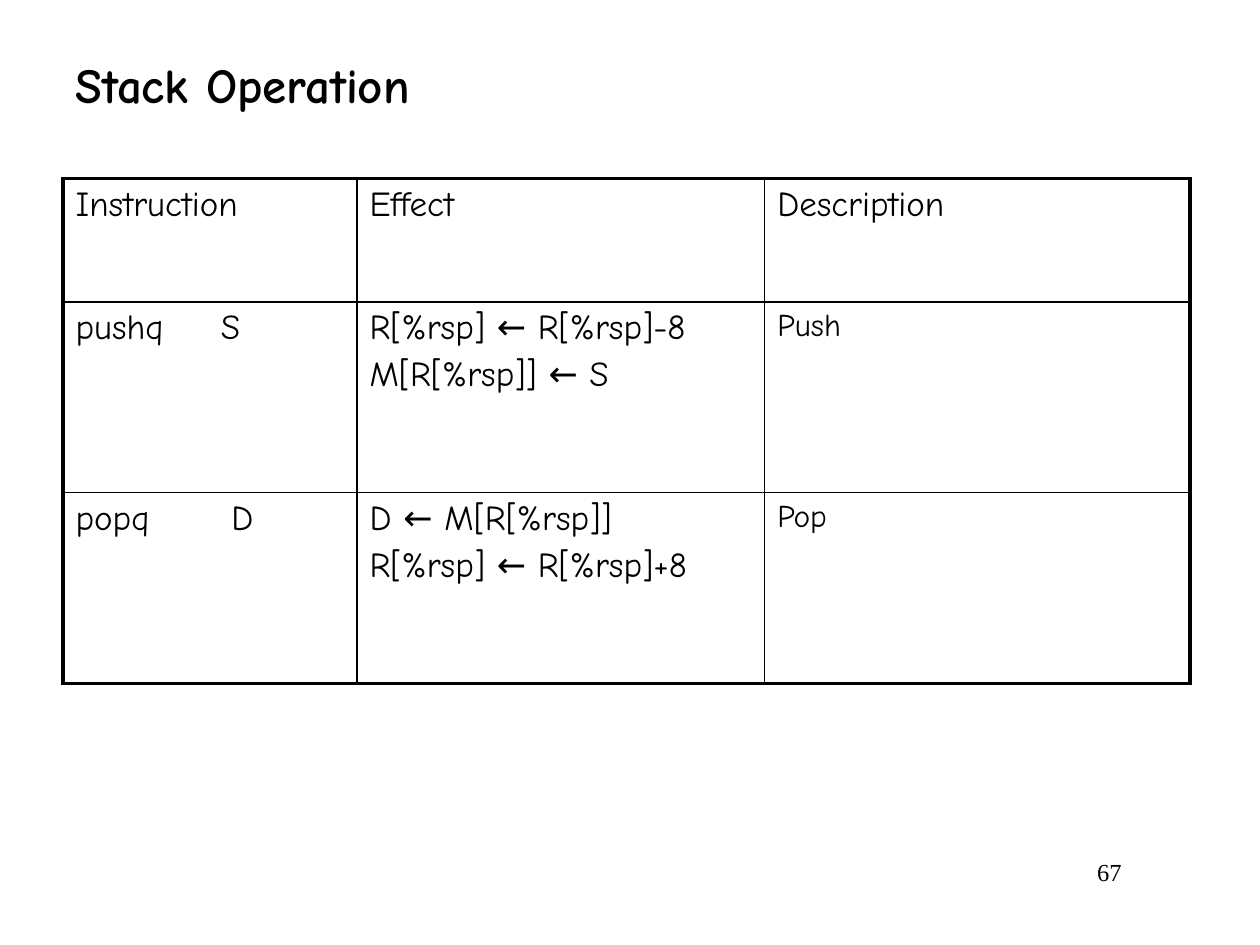
from lxml.etree import SubElement
from pptx import Presentation
from pptx.dml.color import RGBColor as Color
from pptx.enum.text import MSO_ANCHOR as Anchor, PP_ALIGN as Align
from pptx.oxml import parse_xml
from pptx.oxml.ns import nsdecls, qn
from pptx.util import Pt

COLORS = {"ink": "000000", "paper": "FFFFFF"}
THICK, THIN = 2.25, 1


class SlideBuilder:
    body_font = "Comic Neue"
    number_font = "Times New Roman"

    def __init__(self, slide):
        self.slide = slide

    def styled_run(self, paragraph, text, size, **extra):
        run = paragraph.add_run()
        run.text = text
        run.font.color.rgb = Color.from_string(COLORS["ink"])
        values = {"name": self.body_font, "size": Pt(size), **extra}
        for name, value in values.items():
            setattr(run.font, name, value)

    def text(self, box, text, size, anchor=Anchor.TOP, align=Align.LEFT, **extra):
        shape = self.slide.shapes.add_textbox(*map(Pt, box))
        frame = shape.text_frame
        frame.word_wrap = True
        frame.vertical_anchor = anchor
        frame.paragraphs[0].alignment = align
        self.styled_run(frame.paragraphs[0], text, size, **extra)

    def borders(self, cell, widths):
        properties = cell._tc.get_or_add_tcPr()
        for index, (side, width) in enumerate(widths.items()):
            line = parse_xml(
                f'<a:ln{side} {nsdecls("a")} w="{Pt(width)}"><a:solidFill>'
                f'<a:srgbClr val="{COLORS["ink"]}"/></a:solidFill></a:ln{side}>')
            properties.insert(index, line)

    def cell(self, cell, lines, size, tab):
        cell.fill.solid()
        cell.fill.fore_color.rgb = Color.from_string(COLORS["paper"])
        frame = cell.text_frame
        for index, line in enumerate(lines):
            paragraph = frame.add_paragraph() if index else frame.paragraphs[0]
            paragraph.space_before = Pt(size * 0.2)
            self.styled_run(paragraph, line, size)
            if tab:
                stops = SubElement(paragraph._p.get_or_add_pPr(), qn("a:tabLst"))
                SubElement(stops, qn("a:tab"), pos=str(Pt(tab)), algn="l")

    def table(self, left, top, widths, heights, rows):
        last_row, last_column = len(heights) - 1, len(widths) - 1
        table = self.slide.shapes.add_table(
            len(heights), len(widths), Pt(left), Pt(top),
            Pt(sum(widths)), Pt(sum(heights))).table
        table.first_row = table.horz_banding = False
        for column, width in zip(table.columns, widths):
            column.width = Pt(width)
        for row, height in zip(table.rows, heights):
            row.height = Pt(height)
        for r, row in enumerate(rows):
            for c, (lines, size, tab) in enumerate(row):
                cell = table.cell(r, c)
                self.cell(cell, lines, size, tab)
                outer = {"L": c == 0, "R": c == last_column,
                         "T": r == 0, "B": r == last_row}
                self.borders(cell, {side: THICK if edge else THIN
                                    for side, edge in outer.items()})


def main():
    presentation = Presentation()
    presentation.slide_width, presentation.slide_height = Pt(720), Pt(540)
    builder = SlideBuilder(presentation.slides.add_slide(presentation.slide_layouts[6]))

    # Slide number and title
    builder.text((546, 486, 102, 36), "67", 14, align=Align.RIGHT,
                 name=builder.number_font)
    builder.text((36, 12, 636, 72), "Stack Operation", 28,
                 anchor=Anchor.MIDDLE, bold=True)

    # Instruction table: each cell is (lines, text size, tab stop)
    builder.table(36, 102, (168, 233, 243), (70.5, 109, 109), [
        [([heading], 20, None) for heading in ("Instruction", "Effect", "Description")],
        [(["pushq\tS"], 20, 83),
         (["R[%rsp] ← R[%rsp]-8", "M[R[%rsp]] ← S"], 20, None),
         (["Push"], 18, None)],
        [(["popq\tD"], 20, 89),
         (["D ← M[R[%rsp]]", "R[%rsp] ← R[%rsp]+8"], 20, None),
         (["Pop"], 18, None)],
    ])

    presentation.save("out.pptx")


if __name__ == "__main__":
    main()
